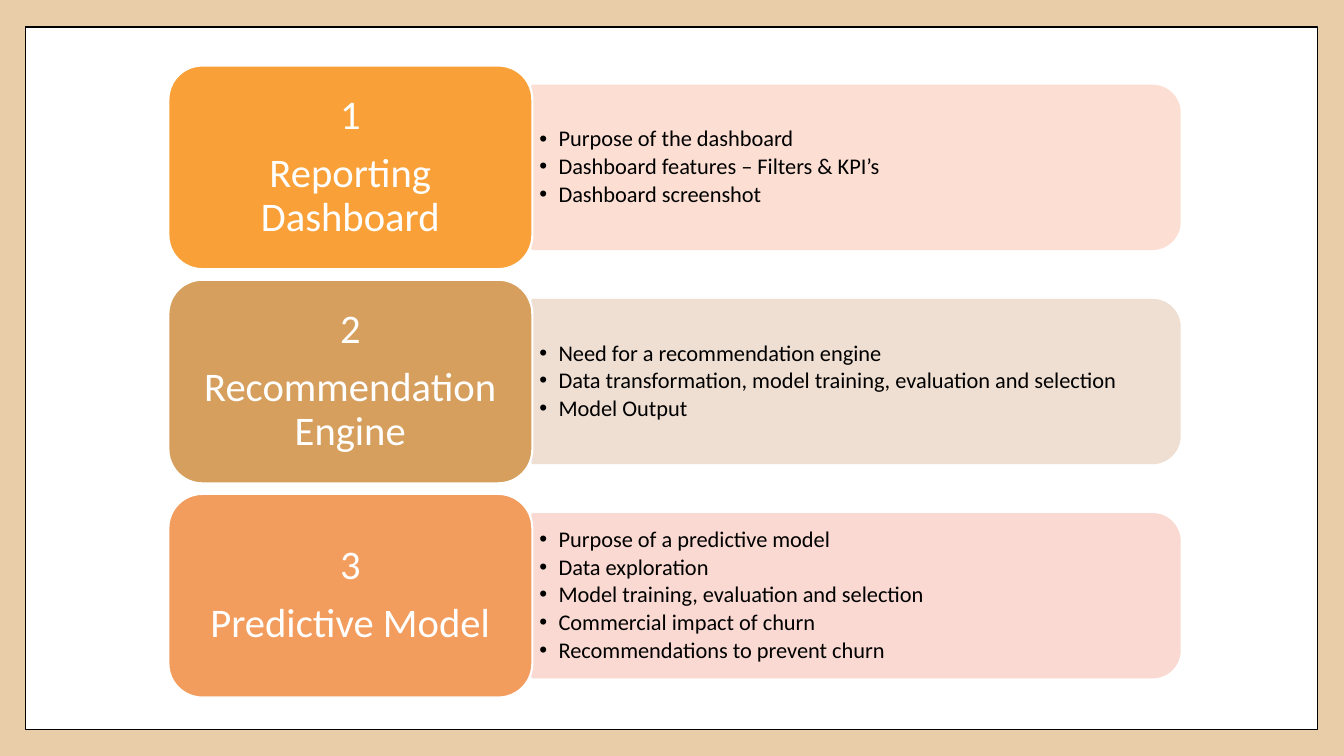
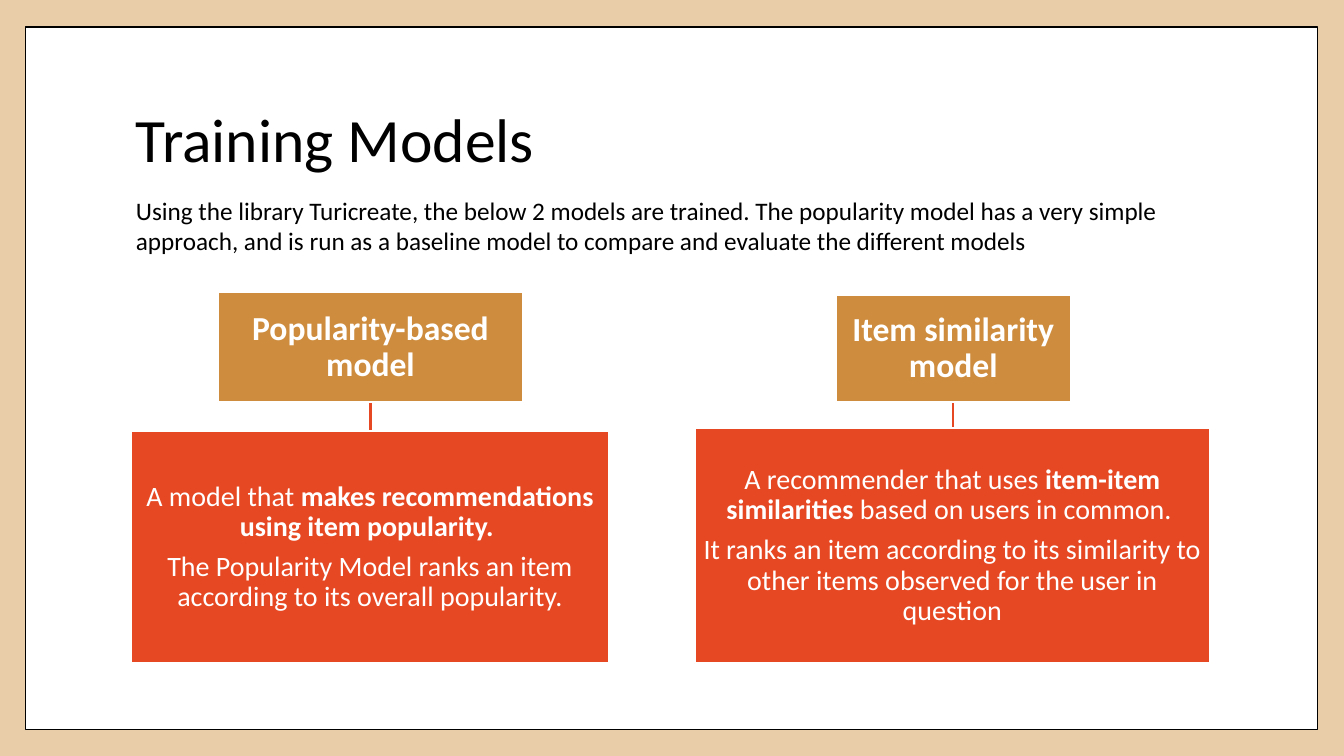
from lxml.etree import SubElement
from pptx import Presentation
from pptx.dml.color import RGBColor
from pptx.enum.shapes import MSO_CONNECTOR, MSO_SHAPE
from pptx.enum.text import MSO_ANCHOR, PP_ALIGN
from pptx.oxml.ns import qn
from pptx.util import Inches, Pt

FONT = "Calibri"
SAND = RGBColor(0xE9, 0xCC, 0xA8)
WHITE = RGBColor(0xFF, 0xFF, 0xFF)
BLACK = RGBColor(0x00, 0x00, 0x00)
OCHRE = RGBColor(0xCE, 0x8D, 0x3E)
VERMILION = RGBColor(0xE6, 0x48, 0x23)
ORANGE = RGBColor(0xF9, 0xA0, 0x38)
TAN = RGBColor(0xD6, 0x9F, 0x5D)
APRICOT = RGBColor(0xF2, 0x9C, 0x5E)
PALE_ORANGE = RGBColor(0xFC, 0xDF, 0xD2)
PALE_TAN = RGBColor(0xEF, 0xDF, 0xD3)
PALE_RED = RGBColor(0xF9, 0xD9, 0xD1)


def add_bullet(paragraph, indent=0.19):
    properties = paragraph._p.get_or_add_pPr()
    properties.set("marL", str(Inches(indent)))
    properties.set("indent", str(-Inches(indent)))
    SubElement(properties, qn("a:buFont")).set("typeface", "Arial")
    SubElement(properties, qn("a:buChar")).set("char", "•")


def write_text(frame, paragraphs, *, size, color=WHITE, bold=False,
               align=PP_ALIGN.LEFT, anchor=MSO_ANCHOR.MIDDLE,
               insets=(0.1, 0.05), line_spacing=0.9, after=0, bullets=False):
    """Fill a frame; a paragraph is a string or a list of (text, bold) runs."""
    frame.word_wrap = True
    frame.vertical_anchor = anchor
    frame.margin_left = frame.margin_right = Inches(insets[0])
    frame.margin_top = frame.margin_bottom = Inches(insets[1])
    for index, content in enumerate(paragraphs):
        paragraph = frame.add_paragraph() if index else frame.paragraphs[0]
        if bullets:
            add_bullet(paragraph)
        paragraph.alignment = align
        paragraph.line_spacing = line_spacing
        paragraph.space_after = Pt(after)
        runs = [(content, bold)] if isinstance(content, str) else content
        for words, is_bold in runs:
            run = paragraph.add_run()
            run.text = words
            run.font.name = FONT
            run.font.size = Pt(size)
            run.font.bold = is_bold
            run.font.color.rgb = color


class Deck:
    """Holds the presentation, its shared style and the current slide."""

    def __init__(self):
        self.presentation = Presentation()
        self.presentation.slide_width = Inches(13.33)
        self.presentation.slide_height = Inches(7.5)
        self.slide = None

    def new_slide(self):
        self.slide = self.presentation.slides.add_slide(
            self.presentation.slide_layouts[6])
        background = self.slide.background.fill
        background.solid()
        background.fore_color.rgb = SAND
        self.box(0.25, 0.27, 12.82, 6.97, WHITE, outline=BLACK, weight=1)

    def box(self, left, top, width, height, fill, *, outline=WHITE,
            weight=1.5, kind=MSO_SHAPE.RECTANGLE):
        shape = self.slide.shapes.add_shape(
            kind, Inches(left), Inches(top), Inches(width), Inches(height))
        shape.shadow.inherit = False
        shape.fill.solid()
        shape.fill.fore_color.rgb = fill
        shape.line.color.rgb = outline
        shape.line.width = Pt(weight)
        return shape

    def side_panel(self, left, top, width, height, fill):
        """Panel rounded on its right: a top-rounded shape turned by 90°."""
        turn = (width - height) / 2
        panel = self.box(left + turn, top - turn, height, width, fill,
                         outline=fill, kind=MSO_SHAPE.ROUND_2_SAME_RECTANGLE)
        panel.rotation = 90

    def text(self, left, top, width, height, paragraphs, **style):
        area = self.slide.shapes.add_textbox(
            Inches(left), Inches(top), Inches(width), Inches(height))
        write_text(area.text_frame, paragraphs, **style)

    def link(self, x, top, bottom):
        line = self.slide.shapes.add_connector(
            MSO_CONNECTOR.STRAIGHT, Inches(x), Inches(top), Inches(x), Inches(bottom))
        line.line.color.rgb = VERMILION
        line.line.width = Pt(1.5)
        SubElement(line._element.spPr, qn("a:effectLst"))

    def agenda_row(self, top, number, topic, points, fill, pale):
        left, width, height = 1.67, 3.61, 2.02
        panel_left, panel_height, text_height = left + width, 1.62, 1.46
        self.side_panel(panel_left, top + (height - panel_height) / 2,
                        6.42, panel_height, pale)
        self.text(panel_left, top + (height - text_height) / 2, 6.34, text_height,
                  points, size=16, color=BLACK, insets=(0.07, 0.03),
                  after=2.4, bullets=True)
        card = self.box(left, top, width, height, fill,
                        kind=MSO_SHAPE.ROUNDED_RECTANGLE)
        write_text(card.text_frame, [str(number), topic], size=29,
                   align=PP_ALIGN.CENTER, insets=(0.12, 0.06), after=10.15)

    def model_branch(self, name, heading, description, details):
        """Heading box linked to its description; boxes are (x, y, w, h)."""
        left, top, width, height = heading
        self.link(left + width / 2, top + height, description[1])
        heading_box = self.box(*heading, OCHRE)
        write_text(heading_box.text_frame, [name], size=24, bold=True,
                   align=PP_ALIGN.CENTER, insets=(0.02, 0.02), after=8.4)
        description_box = self.box(*description, VERMILION)
        write_text(description_box.text_frame, details, size=20,
                   align=PP_ALIGN.CENTER, insets=(0.01, 0.01), after=7)


AGENDA = [
    ("Reporting Dashboard",
     ["Purpose of the dashboard",
      "Dashboard features – Filters & KPI’s",
      "Dashboard screenshot"],
     ORANGE, PALE_ORANGE),
    ("Recommendation Engine",
     ["Need for a recommendation engine",
      "Data transformation, model training, evaluation and selection",
      "Model Output"],
     TAN, PALE_TAN),
    ("Predictive Model",
     ["Purpose of a predictive model",
      "Data exploration",
      "Model training, evaluation and selection",
      "Commercial impact of churn",
      "Recommendations to prevent churn"],
     APRICOT, PALE_RED),
]

MODELS = [
    ("Item similarity model", (8.29, 2.93, 2.33, 1.06), (6.89, 4.25, 5.11, 2.33),
     [[("A recommender that uses ", False), ("item-item similarities ", True),
       ("based on users in common. ", False)],
      "It ranks an item according to its similarity to other items "
      "observed for the user in question"]),
    ("Popularity-based model", (2.16, 2.9, 3.03, 1.09), (1.3, 4.28, 4.74, 2.3),
     [[("A model that ", False),
       ("makes recommendations using item popularity. ", True)],
      "The Popularity Model ranks an item according to its overall popularity."]),
]


def main():
    deck = Deck()

    # Agenda
    deck.new_slide()
    for index, (topic, points, fill, pale) in enumerate(AGENDA):
        deck.agenda_row(0.65 + index * 2.125, index + 1, topic, points, fill, pale)

    # Training models
    deck.new_slide()
    deck.text(1.25, 0.67, 10.8, 1.48, ["Training Models"], size=44, color=BLACK)
    for model in MODELS:
        deck.model_branch(*model)
    deck.text(1.25, 1.89, 11.03, 0.71,
              ["Using the library Turicreate, the below 2 models are trained. "
               "The popularity model has a very simple approach, and is run as a "
               "baseline model to compare and evaluate the different models"],
              size=18, color=BLACK, anchor=MSO_ANCHOR.TOP, line_spacing=1.0)

    deck.presentation.save("out.pptx")


if __name__ == "__main__":
    main()
